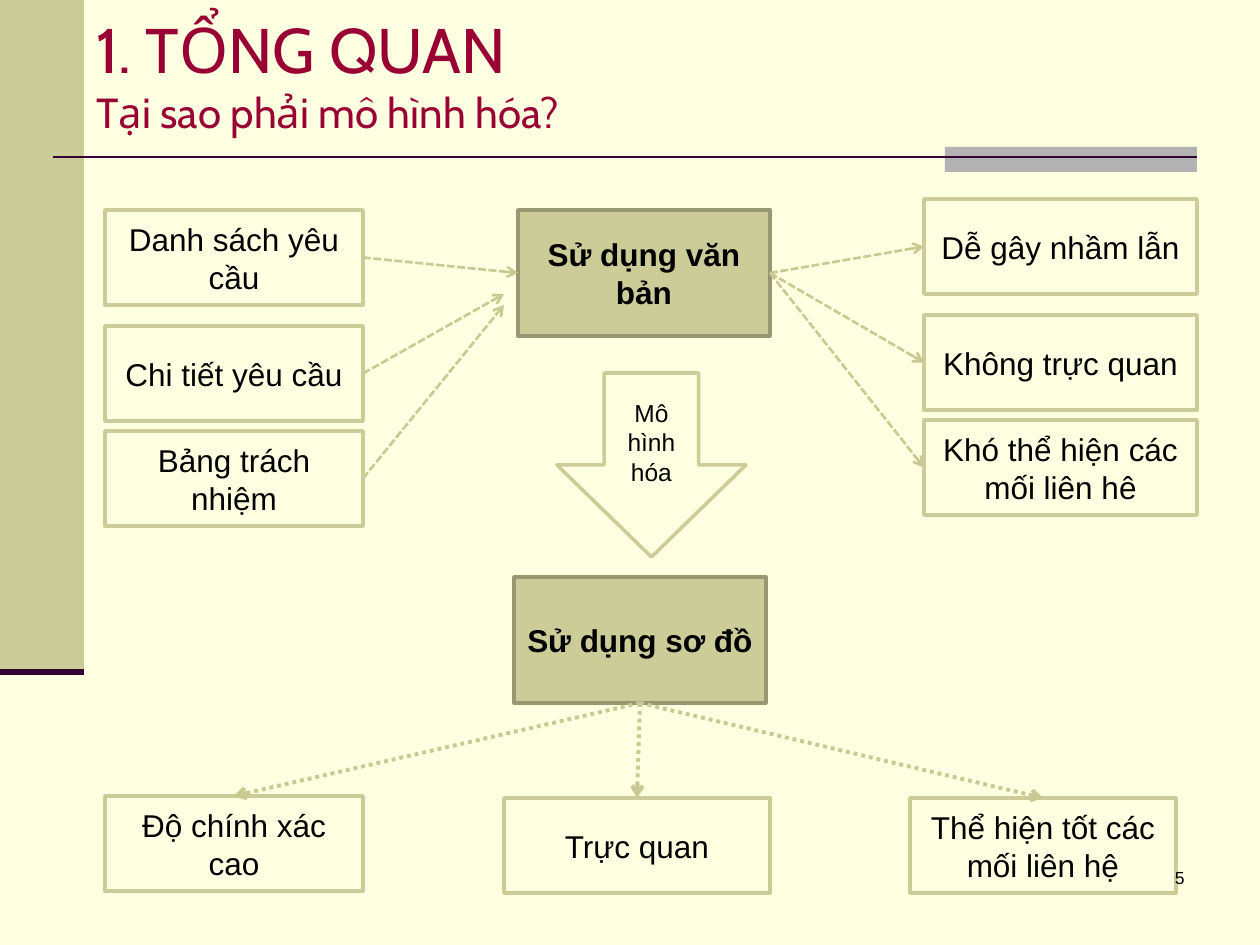
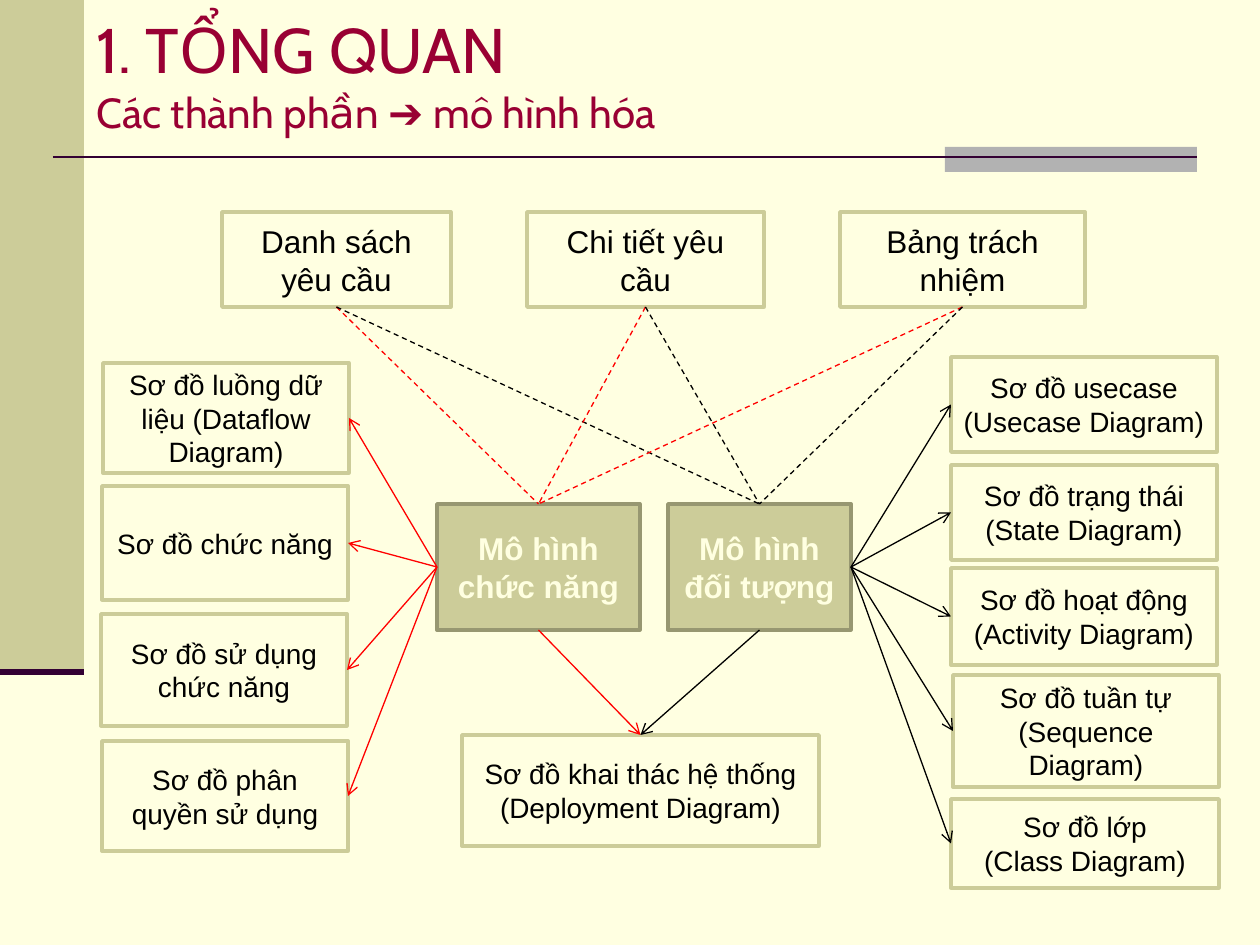
from pptx import Presentation
from pptx.dml.color import RGBColor
from pptx.enum.dml import MSO_LINE
from pptx.enum.shapes import MSO_CONNECTOR, MSO_SHAPE
from pptx.enum.text import MSO_ANCHOR, PP_ALIGN
from pptx.oxml.ns import qn
from pptx.util import Pt
from lxml.etree import SubElement

SCALE = 914400 / 126
CREAM, OLIVE, DARK_OLIVE, PALE_OLIVE = "FFFFE1", "CCCC99", "979771", "C9C994"
GREY, PLUM, CRIMSON, RED, BLACK = "B2B2B2", "330033", "990033", "FF0000", "000000"
TOP, LEFT, BOTTOM, RIGHT = range(4)


def px(length):
    return round(length * SCALE)


def paint(target, color):
    if hasattr(target, "solid"):
        target.solid()
        target.fore_color.rgb = RGBColor.from_string(color)
    else:
        target.rgb = RGBColor.from_string(color)


def write(para, text, size=18, color=BLACK, bold=False, font="Arial"):
    span = para.add_run()
    span.text = text
    span.font.size = Pt(size)
    span.font.bold = bold
    span.font.name = font
    paint(span.font.color, color)


class Board:
    def __init__(self):
        self.deck = Presentation()
        self.deck.slide_width, self.deck.slide_height = px(1260), px(945)
        self.page = None

    def start_page(self, subtitle):
        self.page = self.deck.slides.add_slide(self.deck.slide_layouts[6])
        paint(self.page.background.fill, CREAM)
        self.shape((0, 0, 84, 672), OLIVE)
        self.shape((945, 147, 252, 25), GREY)
        self.line((53, 157), (1197, 157), PLUM, 1.5)
        self.line((0, 672), (84, 672), PLUM, 3.5)
        frame = self.text_frame((84, 0, 1176, 147))
        frame.vertical_anchor = MSO_ANCHOR.MIDDLE
        para = frame.paragraphs[0]
        write(para, "1. TỔNG QUAN", size=36, color=CRIMSON, font="Cabin")
        para.add_line_break()
        write(para, subtitle, size=24, color=CRIMSON, font="Cabin")

    def text_frame(self, place):
        frame = self.page.shapes.add_textbox(*map(px, place)).text_frame
        frame.word_wrap = True
        return frame

    def page_number(self, number):
        para = self.text_frame((935, 861, 262, 63)).paragraphs[0]
        para.alignment = PP_ALIGN.RIGHT
        write(para, number, size=10)

    def shape(self, place, fill, edge=None, kind=MSO_SHAPE.RECTANGLE):
        shape = self.page.shapes.add_shape(kind, *map(px, place))
        shape.shadow.inherit = False
        paint(shape.fill, fill)
        if edge:
            paint(shape.line.fill, edge)
            shape.line.width = Pt(2)
        else:
            shape.line.fill.background()
        return shape

    def box(self, text, place, fill=CREAM, edge=OLIVE, kind=MSO_SHAPE.RECTANGLE, **style):
        box = self.shape(place, fill, edge, kind)
        frame = box.text_frame
        frame.word_wrap = True
        frame.vertical_anchor = MSO_ANCHOR.MIDDLE
        for index, part in enumerate(text.split("\n")):
            para = frame.add_paragraph() if index else frame.paragraphs[0]
            para.alignment = PP_ALIGN.CENTER
            write(para, part, **style)
        return box

    def key_box(self, text, place, color=BLACK):
        return self.box(text, place, OLIVE, DARK_OLIVE, color=color, bold=True)

    def line(self, start, finish, color, width, dash=None, arrow=False):
        line = self.page.shapes.add_connector(
            MSO_CONNECTOR.STRAIGHT, *map(px, start + finish))
        paint(line.line.fill, color)
        line.line.width = Pt(width)
        if dash:
            line.line.dash_style = dash
        properties = line.line._get_or_add_ln()
        if arrow:
            SubElement(properties, qn("a:tailEnd"), type="arrow")
        SubElement(properties.getparent(), qn("a:effectLst"))
        return line

    def link(self, start, start_side, finish, finish_side, *style, **options):
        line = self.line((0, 0), (0, 0), *style, **options)
        line.begin_connect(start, start_side)
        line.end_connect(finish, finish_side)


def build_reasons(board):
    board.start_page("Tại sao phải mô hình hóa?")
    text_use = board.key_box("Sử dụng văn bản", (518, 210, 252, 126))
    diagram_use = board.key_box("Sử dụng sơ đồ", (514, 577, 252, 126))
    board.box("Mô hình hóa", (557, 373, 189, 184), kind=MSO_SHAPE.DOWN_ARROW, size=14)
    dashed = dict(color=PALE_OLIVE, width=1.5, dash=MSO_LINE.SQUARE_DOT, arrow=True)
    dotted = dict(color=PALE_OLIVE, width=2.25, dash=MSO_LINE.ROUND_DOT, arrow=True)

    inputs = [board.box(text, (105, top, 258, 95)) for text, top in (
        ("Danh sách yêu cầu", 210), ("Chi tiết yêu cầu", 326), ("Bảng trách nhiệm", 431))]
    board.link(inputs[0], RIGHT, text_use, LEFT, **dashed)
    for source, height in zip(inputs[1:], (294, 305)):
        board.line((363, height), (504, height), **dashed).begin_connect(source, RIGHT)

    for text, top in (("Dễ gây nhầm lẫn", 199), ("Không trực quan", 315),
                      ("Khó thể hiện các mối liên hê", 420)):
        drawback = board.box(text, (924, top, 273, 95))
        board.link(text_use, RIGHT, drawback, LEFT, **dashed)

    for text, place in (("Độ chính xác cao", (105, 796, 258, 95)),
                        ("Trực quan", (504, 798, 266, 95)),
                        ("Thể hiện tốt các mối liên hệ", (910, 798, 266, 95))):
        benefit = board.box(text, place)
        board.link(diagram_use, BOTTOM, benefit, TOP, **dotted)
    board.page_number("5")


def build_components(board):
    board.start_page("Các thành phần ➔ mô hình hóa")
    functional = board.key_box("Mô hình chức năng", (437, 504, 203, 126), CREAM)
    objects = board.key_box("Mô hình đối tượng", (668, 504, 183, 126), CREAM)
    models = ((functional, RED), (objects, BLACK))

    for text, left, width in (("Danh sách yêu cầu", 222, 229), ("Chi tiết yêu cầu", 527, 237),
                              ("Bảng trách nhiệm", 840, 245)):
        requirement = board.box(text, (left, 212, width, 95))
        for model, color in models:
            board.link(requirement, BOTTOM, model, TOP, color, 0.75, dash=MSO_LINE.DASH)

    deployment = board.box("Sơ đồ khai thác hệ thống\n(Deployment Diagram)",
                           (462, 735, 357, 111), size=16)
    for model, color in models:
        board.link(model, BOTTOM, deployment, TOP, color, 0.75, arrow=True)

    for text, place in (
            ("Sơ đồ luồng dữ liệu (Dataflow Diagram)", (103, 363, 246, 110)),
            ("Sơ đồ chức năng", (102, 486, 246, 114)),
            ("Sơ đồ sử dụng chức năng", (101, 614, 246, 112)),
            ("Sơ đồ phân quyền sử dụng", (102, 741, 246, 110))):
        diagram = board.box(text, place, size=16)
        board.link(functional, LEFT, diagram, RIGHT, RED, 0.75, arrow=True)

    for text, place in (
            ("Sơ đồ usecase\n(Usecase Diagram)", (951, 357, 266, 95)),
            ("Sơ đồ trạng thái (State Diagram)", (951, 465, 266, 95)),
            ("Sơ đồ hoạt động (Activity Diagram)", (951, 568, 266, 97)),
            ("Sơ đồ tuần tự\n(Sequence Diagram)", (953, 675, 266, 112)),
            ("Sơ đồ lớp\n(Class Diagram)", (951, 799, 268, 89))):
        diagram = board.box(text, place, size=16)
        board.link(objects, RIGHT, diagram, LEFT, BLACK, 0.75, arrow=True)


def main():
    board = Board()
    build_reasons(board)
    build_components(board)
    board.deck.save("out.pptx")


if __name__ == "__main__":
    main()
